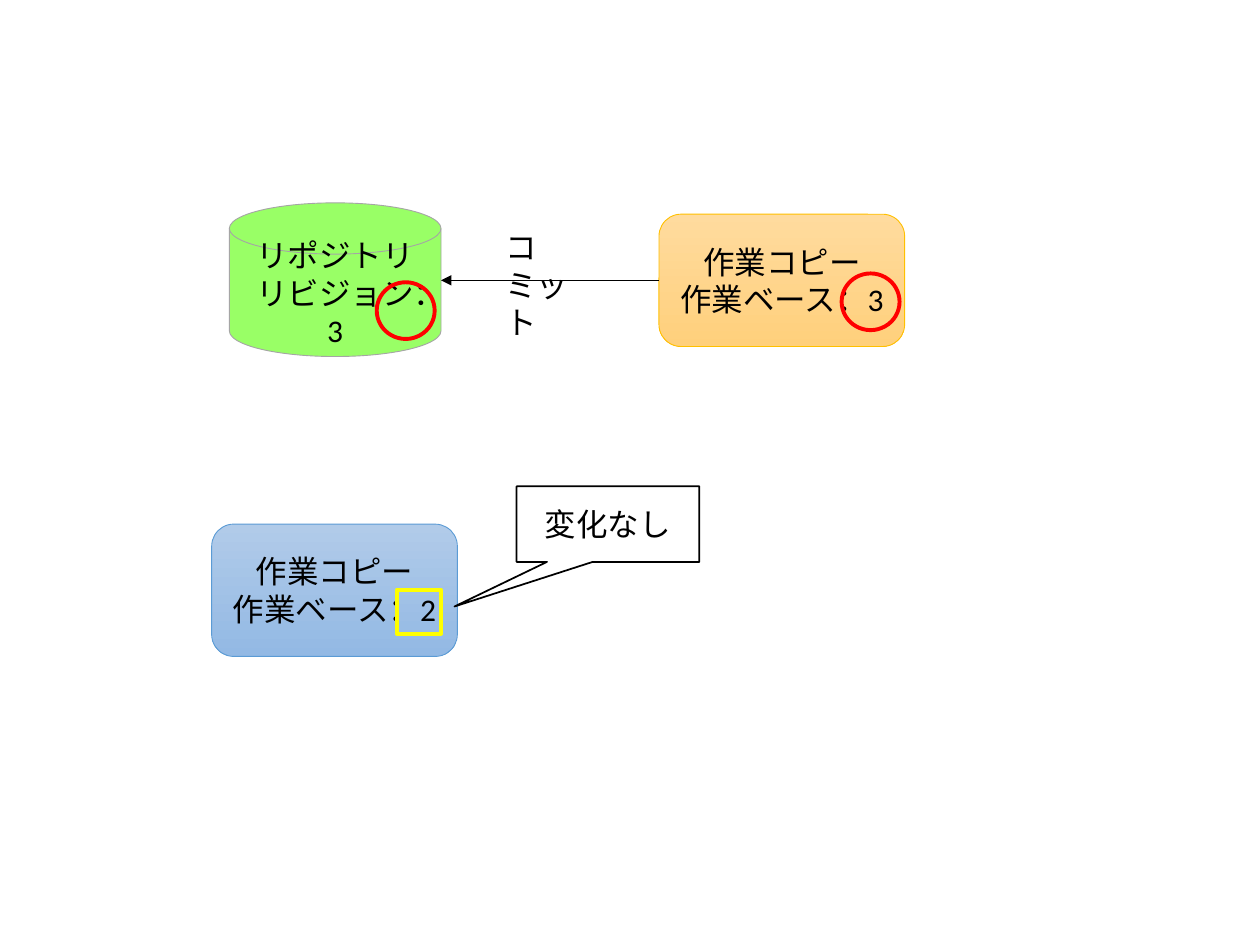
from lxml.etree import SubElement
from pptx import Presentation
from pptx.dml.color import RGBColor
from pptx.enum.shapes import MSO_CONNECTOR, MSO_SHAPE
from pptx.enum.text import MSO_ANCHOR, PP_ALIGN
from pptx.oxml.ns import qn
from pptx.util import Inches, Pt

COLUMNS, ROWS = 100, 75
CELL = Inches(10) / COLUMNS
COLORS = {
    "text": "000000", "arrow": "000000", "paper": "FFFFFF",
    "repository": "99FF66", "repository_edge": "A5A5A5",
    "blue_top": "B1CBE9", "blue_bottom": "93B9E4", "blue_edge": "5B9BD5",
    "orange_top": "FFDB9E", "orange_bottom": "FFD07C", "orange_edge": "FFC000",
    "changed": "FF0000", "unchanged": "FFFF00",
}
COPY_SIZE = (19.5, 10.5)
CIRCLE_SIZE = (4.6, 4.5)


def color(name):
    return RGBColor.from_string(COLORS[name])


def cells(*counts):
    return [round(count * CELL) for count in counts]


def write_text(box, *lines, size=18, font="Calibri", align=PP_ALIGN.CENTER,
               anchor=MSO_ANCHOR.MIDDLE):
    frame = box.text_frame
    frame.word_wrap = True
    frame.vertical_anchor = anchor
    for index, line in enumerate(lines):
        para = frame.add_paragraph() if index else frame.paragraphs[0]
        para.alignment = align
        span = para.add_run()
        span.text = line
        span.font.size = Pt(size)
        span.font.name = font
        span.font.color.rgb = color("text")


def add_box(page, kind, corner, size, edge, weight, fills=()):
    """Draw a preset shape: no fill, one solid fill, or a top and bottom blend."""
    box = page.shapes.add_shape(kind, *cells(*corner, *size))
    box.shadow.inherit = False
    box.line.color.rgb = color(edge)
    box.line.width = Pt(weight)
    if not fills:
        box.fill.background()
    elif len(fills) == 1:
        box.fill.solid()
        box.fill.fore_color.rgb = color(fills[0])
    else:
        box.fill.gradient()
        box.fill.gradient_angle = 270
        for stop, name in zip(box.fill.gradient_stops, fills):
            stop.color.rgb = color(name)
            stop.position = fills.index(name)
    return box


def add_working_copy(page, corner, hue, base):
    box = add_box(page, MSO_SHAPE.ROUNDED_RECTANGLE, corner, COPY_SIZE,
                  f"{hue}_edge", 0.5, (f"{hue}_top", f"{hue}_bottom"))
    write_text(box, "作業コピー", f"作業ベース：{base}")
    return box


def add_arrow(page, source, target):
    """Run from the left side of source to the right side of target."""
    height = source.top + source.height // 2
    arrow = page.shapes.add_connector(
        MSO_CONNECTOR.STRAIGHT, source.left, height,
        target.left + target.width, height)
    arrow.begin_connect(source, 1)
    arrow.line.color.rgb = color("arrow")
    arrow.line.width = Pt(0.5)
    SubElement(arrow.line._get_or_add_ln(), qn("a:tailEnd"), type="triangle")
    SubElement(arrow._element.spPr, qn("a:effectLst"))


def main():
    deck = Presentation()
    deck.slide_width, deck.slide_height = cells(COLUMNS, ROWS)
    page = deck.slides.add_slide(deck.slide_layouts[6])

    repository = add_box(page, MSO_SHAPE.FLOWCHART_MAGNETIC_DISK, (18.2, 16.1),
                         (16.8, 12.2), "repository_edge", 0.5, ("repository",))
    write_text(repository, "リポジトリ", "リビジョン：3")
    add_working_copy(page, (16.8, 41.6), "blue", 2)
    committed = add_working_copy(page, (52.3, 17), "orange", 3)

    add_arrow(page, committed, repository)
    label = page.shapes.add_textbox(*cells(39.1, 17.6, 9.2, 4))
    write_text(label, "コミット", align=PP_ALIGN.LEFT, anchor=MSO_ANCHOR.TOP)

    for corner in ((29.9, 22.4), (66.8, 21.7)):
        add_box(page, MSO_SHAPE.OVAL, corner, CIRCLE_SIZE, "changed", 2.25)
    add_box(page, MSO_SHAPE.RECTANGLE, (31.5, 46.8), (3.5, 3.5), "unchanged", 2.25)

    callout = add_box(page, MSO_SHAPE.RECTANGULAR_CALLOUT, (41, 38.6), (14.5, 6),
                      "arrow", 1, ("paper",))
    callout.adjustments[0] = -0.84
    callout.adjustments[1] = 1.09
    write_text(callout, "変化なし")

    deck.save("out.pptx")


if __name__ == "__main__":
    main()
